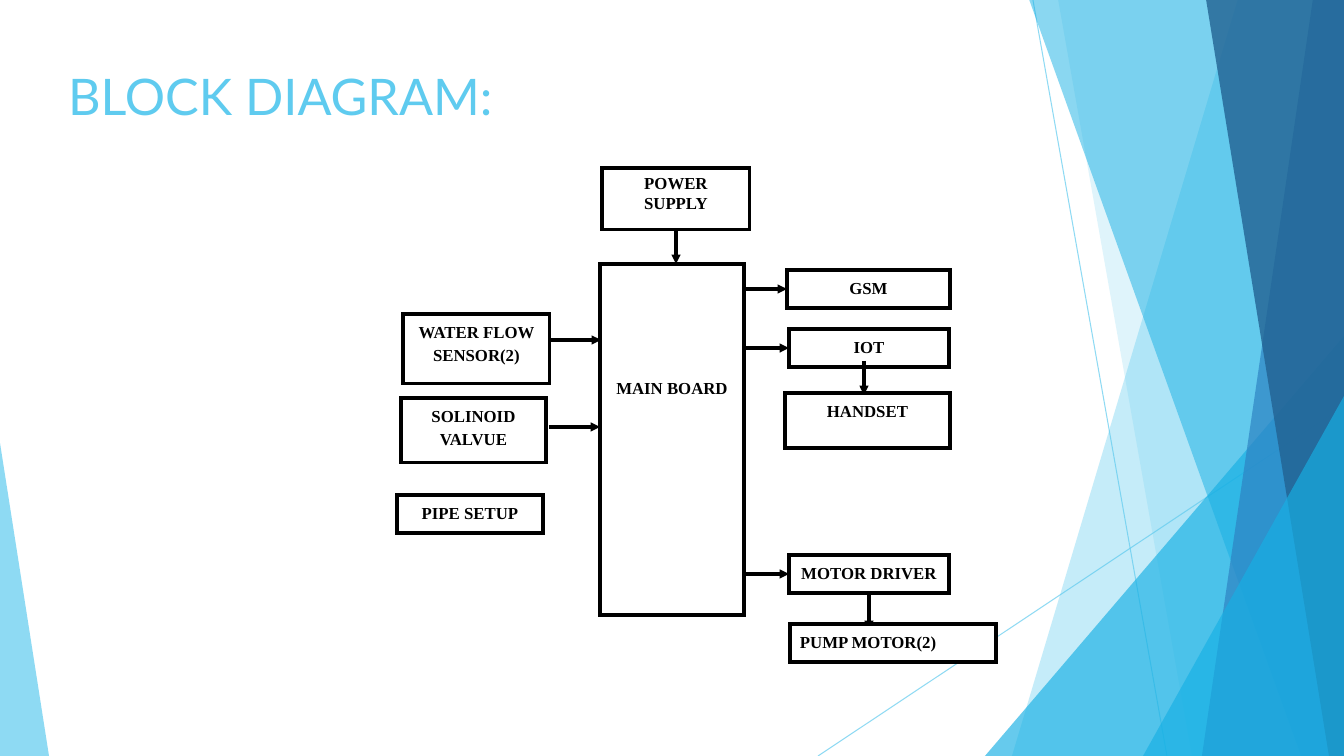
from lxml.etree import SubElement
from pptx import Presentation
from pptx.dml.color import RGBColor
from pptx.enum.shapes import MSO_CONNECTOR, MSO_SHAPE
from pptx.enum.text import MSO_ANCHOR, MSO_AUTO_SIZE, PP_ALIGN
from pptx.oxml.ns import qn
from pptx.util import Pt

PX = 914400 / 100.8
COLORS = {
    "sky": "5FCBEF", "cyan": "17B0E4", "blue": "2E83C3",
    "navy": "226292", "black": "000000", "white": "FFFFFF",
}
RGB = {name: RGBColor.from_string(value) for name, value in COLORS.items()}


def px(*lengths):
    return [round(length * PX) for length in lengths]


def add_line(start, end, color, width):
    line = shapes.add_connector(MSO_CONNECTOR.STRAIGHT, *px(*start, *end))
    line.line.color.rgb = RGB[color]
    line.line.width = Pt(width)
    SubElement(line._element.spPr, qn("a:effectLst"))
    return line


deck = Presentation()
deck.slide_width, deck.slide_height = px(1344, 756)
page = deck.slides.add_slide(deck.slide_layouts[5])
shapes = page.shapes

# Background facets: points of an outline, or the box and apex of a triangle
thin_lines = [
    add_line((1033, 0), (1167, 756), "sky", 0.75),
    add_line((1344, 406), (818, 756), "sky", 0.75),
]
faded = [(line._element, 70) for line in thin_lines]
facets = [
    ([(1238, -1), (1344, -1), (1344, 756), (1012, 756)], None, "sky", 36),
    ([(1058, -1), (1344, -1), (1344, 756), (1192, 756)], None, "sky", 20),
    ((985, 336, 359, 420), 1, "cyan", 66),
    ([(1029, -1), (1344, -1), (1344, 756), (1301, 756)], None, "cyan", 50),
    ([(1313, -1), (1344, -1), (1344, 756), (1202, 756)], None, "blue", 70),
    ([(1206, -1), (1344, -1), (1344, 756), (1329, 756)], None, "navy", 80),
    ((1143, 396, 201, 360), 1, "cyan", 66),
    ((0, 443, 49, 313), 0, "sky", 70),
]
for outline, apex, color, opacity in facets:
    if apex is None:
        builder = shapes.build_freeform(*px(*outline[0]))
        builder.add_line_segments([px(*point) for point in outline[1:]])
        facet = builder.convert_to_shape()
    else:
        facet = shapes.add_shape(MSO_SHAPE.ISOSCELES_TRIANGLE, *px(*outline))
        facet.adjustments[0] = apex
    facet.shadow.inherit = False
    facet.line.fill.background()
    facet.fill.solid()
    facet.fill.fore_color.rgb = RGB[color]
    faded.append((facet._element, opacity))
for element, opacity in faded:
    tint = next(element.spPr.iter(qn("a:srgbClr")))
    SubElement(tint, qn("a:alpha"), val=str(opacity * 1000))

# Title
title = shapes.title
title.left, title.top, title.width, title.height = px(58, 60, 948, 145)
frame = title.text_frame
frame.text = "BLOCK DIAGRAM:"
frame.auto_size = MSO_AUTO_SIZE.NONE
frame.vertical_anchor = MSO_ANCHOR.TOP
para = frame.paragraphs[0]
para.alignment = PP_ALIGN.LEFT
span = para.runs[0]
span.font.name, span.font.size = "Lato", Pt(36)
span.font.color.rgb = RGB["sky"]

# Blocks: position and size, border width, line spacing, top inset, alignment
CENTER, LEFT = PP_ALIGN.CENTER, PP_ALIGN.LEFT
blocks = [
    ("MAIN BOARD", (600, 264, 144, 351), 2.25, 1.15, 111, CENTER),
    ("POWER SUPPLY", (602, 168, 148, 62), 2.25, 1, 5, CENTER),
    ("WATER FLOW SENSOR(2)", (403, 314, 147, 70), 2.25, 1.15, 5, CENTER),
    ("SOLINOID VALVUE", (401, 398, 145, 65), 2.25, 1.15, 5, CENTER),
    ("PIPE SETUP", (397, 495, 146, 38), 2.5, 1.15, 5, CENTER),
    ("GSM", (787, 270, 163, 38), 2.5, 1.15, 5, CENTER),
    ("IOT", (789, 329, 160, 38), 2.5, 1.15, 5, CENTER),
    ("HANDSET", (785, 393, 165, 55), 2.5, 1.15, 5, CENTER),
    ("MOTOR DRIVER", (789, 555, 160, 38), 2.5, 1.15, 5, CENTER),
    ("PUMP MOTOR(2)", (790, 624, 206, 38), 2.5, 1.15, 5, LEFT),
]
boxes = {}
for label, place, border, spacing, inset, alignment in blocks:
    box = boxes[label] = shapes.add_shape(MSO_SHAPE.RECTANGLE, *px(*place))
    box.shadow.inherit = False
    box.fill.solid()
    box.fill.fore_color.rgb = RGB["white"]
    box.line.color.rgb = RGB["black"]
    box.line.width = Pt(border)
    SubElement(box.line._get_or_add_ln(), qn("a:miter"), lim="800000")
    frame = box.text_frame
    frame.text = label
    frame.word_wrap = True
    frame.vertical_anchor = MSO_ANCHOR.TOP
    frame.margin_top = px(inset)[0]
    para = frame.paragraphs[0]
    para.alignment, para.line_spacing = alignment, spacing
    font = para.runs[0].font
    font.name, font.size, font.bold = "Times New Roman", Pt(12), True
    font.color.rgb = RGB["black"]

# Arrows: start, end, and the blocks they are joined to
arrows = [
    ((550, 340), (601, 340), None, None),
    ((549, 427), (600, 427), None, None),
    ((676, 231), (676, 264), None, None),
    ((744, 289), (787, 289), None, "GSM"),
    ((744, 348), (789, 348), None, "IOT"),
    ((744, 574), (789, 574), None, "MOTOR DRIVER"),
    ((864, 361), (864, 395), None, None),
    ((869, 593), (869, 630), "MOTOR DRIVER", None),
]
for start, end, source, target in arrows:
    arrow = add_line(start, end, "black", 2.25)
    SubElement(arrow.line._get_or_add_ln(), qn("a:tailEnd"), type="triangle")
    if source:
        arrow.begin_connect(boxes[source], 2)
    if target:
        arrow.end_connect(boxes[target], 1)

# The pump block covers the tip of its arrow
shapes._spTree.append(boxes["PUMP MOTOR(2)"]._element)

deck.save("out.pptx")
